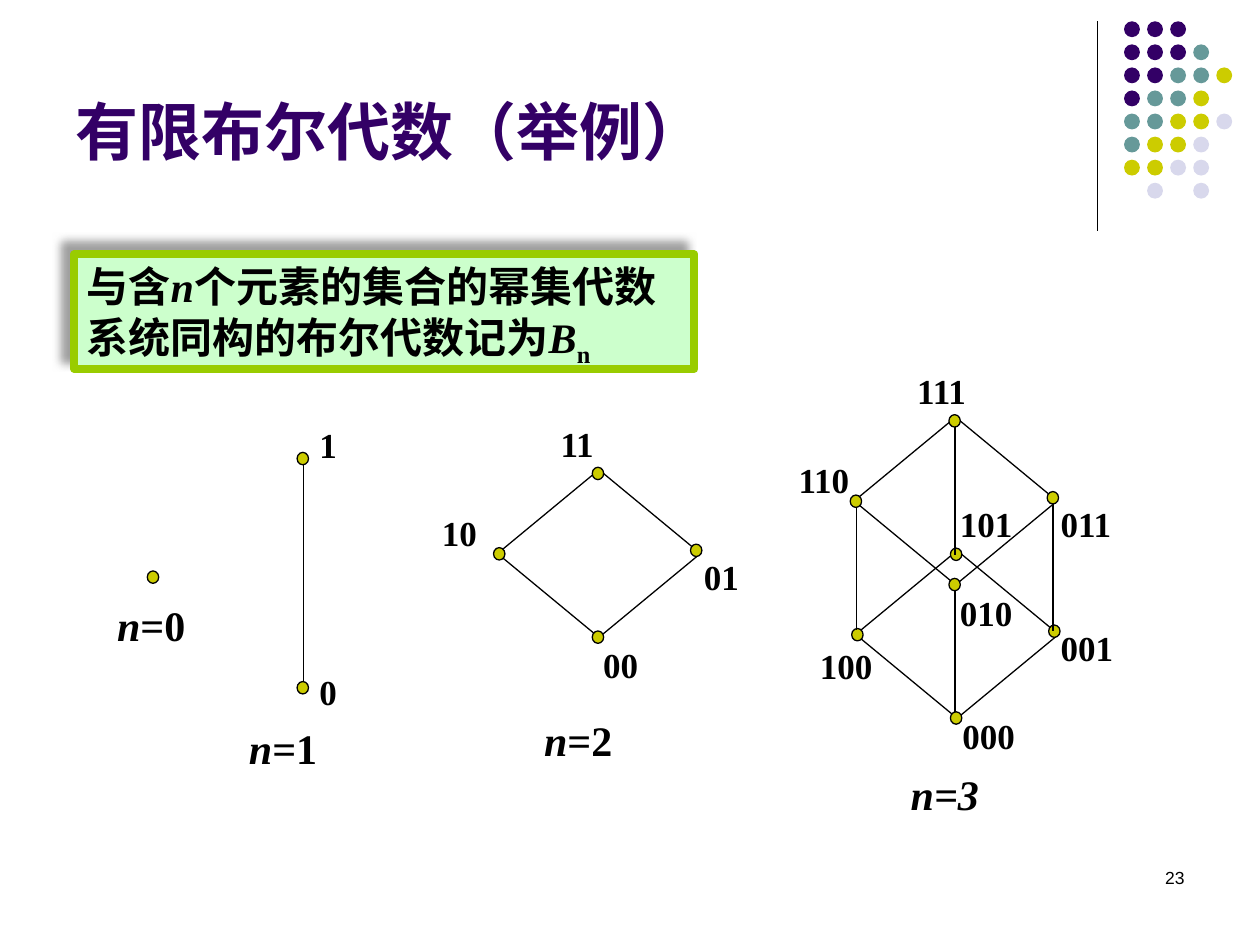
from dataclasses import dataclass

from lxml import etree
from pptx import Presentation
from pptx import util as u
from pptx.dml.color import RGBColor
from pptx.enum import shapes, text
from pptx.oxml import ns


@dataclass(frozen=True)
class Theme:
    """Colours, fonts and type sizes of the slide."""
    ink: str = "000000"
    plum: str = "330066"
    teal: str = "669999"
    gold: str = "CCCC00"
    pale: str = "D8D8EC"
    mint: str = "CCFFCC"
    lime: str = "99CC00"
    shade: str = "808080"
    sans: str = "Arial"
    serif: str = "Times New Roman"
    title: int = 36
    body: int = 24
    label: int = 20
    small: int = 10
    thin: float = 0.75
    thick: float = 4.5


T = Theme()


def paint(shape, fill=None, line=None, width=T.thin):
    """Set the fill and outline of a shape and drop its shadow."""
    shape.shadow.inherit = False
    if fill:
        shape.fill.solid()
        shape.fill.fore_color.rgb = RGBColor.from_string(fill)
    else:
        shape.fill.background()
    if line:
        shape.line.color.rgb = RGBColor.from_string(line)
        shape.line.width = u.Pt(width)
    else:
        shape.line.fill.background()


def put(slide, kind, x, y, w, h, **style):
    """Add a painted preset shape."""
    shape = slide.shapes.add_shape(kind, u.Cm(x), u.Cm(y), u.Cm(w), u.Cm(h))
    paint(shape, **style)
    return shape


def rule(slide, x, top, end):
    """Add a thin upright line."""
    line = slide.shapes.add_connector(
        shapes.MSO_CONNECTOR.STRAIGHT, u.Cm(x), u.Cm(top), u.Cm(x), u.Cm(end))
    line.line.color.rgb = RGBColor.from_string(T.ink)
    line.line.width = u.Pt(T.thin)
    etree.SubElement(line._element.spPr, ns.qn("a:effectLst"))


def write(shape, runs, size, font=T.serif, color=T.ink, bold=True,
          align=text.PP_ALIGN.LEFT, anchor=text.MSO_ANCHOR.TOP):
    """Write (words, italic) runs into a shape and return the runs."""
    frame = shape.text_frame
    frame.word_wrap = True
    frame.vertical_anchor = anchor
    para = frame.paragraphs[0]
    para.alignment = align
    made = []
    for words, slant in runs:
        run = para.add_run()
        run.text = words
        run.font.name = font
        run.font.size = u.Pt(size)
        run.font.bold = bold
        run.font.italic = slant
        run.font.color.rgb = RGBColor.from_string(color)
        made.append(run)
    return made


def note(slide, x, y, w, h, runs, size, **style):
    """Add a text box."""
    box = slide.shapes.add_textbox(u.Cm(x), u.Cm(y), u.Cm(w), u.Cm(h))
    write(box, runs, size, **style)


def tags(slide, x, y, rows):
    """Add node labels given as (words, dx, dy, width)."""
    for words, dx, dy, w in rows:
        note(slide, x + dx, y + dy, w, 1.09, [(words, False)], T.label)


def name(slide, x, y, w, runs):
    """Add the caption of a diagram."""
    note(slide, x, y, w, 1.27, runs, T.body)


def node(slide, x, y):
    """Add one node of a diagram."""
    put(slide, shapes.MSO_SHAPE.OVAL, x, y, 0.23, 0.25, fill=T.gold, line=T.ink)


def kite(slide, x, y):
    """Add a diamond with a node on each corner."""
    put(slide, shapes.MSO_SHAPE.DIAMOND, x, y, 4.09, 3.38, line=T.ink)
    for dx, dy in ((1.91, -0.05), (-0.08, 1.57), (3.89, 1.5), (1.91, 3.25)):
        node(slide, x + dx, y + dy)


def motif(slide, x, y):
    """Draw the corner line and its grid of dots."""
    rule(slide, x, y, y + 4.22)
    hues = {"P": T.plum, "T": T.teal, "Y": T.gold, "L": T.pale}
    rows = ("PPP", "PPPT", "PPTTY", "PTTY", "TTYYL", "TYYL", "YYLL", "-L-L")
    for i, row in enumerate(rows):
        for j, key in enumerate(row):
            if key in hues:
                put(slide, shapes.MSO_SHAPE.OVAL, x + 0.54 + 0.465 * j,
                    y + 0.465 * i, 0.32, 0.32, fill=hues[key])


def rank0(slide, x, y):
    """Draw the algebra with n=0."""
    node(slide, x, y)
    name(slide, x - 0.86, y + 0.46, 2.26, [("n", True), ("=0", False)])


def rank1(slide, x, y):
    """Draw the algebra with n=1."""
    rule(slide, x + 0.13, y + 0.13, y + 4.78)
    for dy in (0, 4.62):
        node(slide, x, y + dy)
    tags(slide, x, y, (("1", 0.2, -0.71, 1.65), ("0", 0.2, 4.27, 1.65)))
    name(slide, x - 1.22, y + 5.33, 4.93, [("n", True), ("=1", False)])


def rank2(slide, x, y):
    """Draw the algebra with n=2."""
    kite(slide, x, y)
    tags(slide, x, y, (
        ("11", 1.02, -1.07, 4.42), ("10", -1.37, 0.71, 4.42),
        ("01", 3.91, 1.6, 1.7), ("00", 1.88, 3.38, 1.7)))
    name(slide, x + 0.69, y + 4.8, 2.87, [("n", True), ("=2", False)])


def rank3(slide, x, y):
    """Draw the algebra with n=3 as two linked diamonds."""
    rule(slide, x + 2.03, y + 3.38, y + 6.12)
    kite(slide, x + 0.03, y + 2.69)
    for dx, top, end in ((4.01, 1.65, 4.32), (0.05, 1.73, 4.29), (2.03, 0.08, 2.77)):
        rule(slide, x + dx, y + top, y + end)
    kite(slide, x, y)
    tags(slide, x, y, (
        ("111", 1.02, -1.09, 4.42), ("110", -1.37, 0.71, 4.42),
        ("011", 3.91, 1.6, 1.7), ("101", 1.88, 1.6, 2.06),
        ("010", 1.88, 3.38, 1.7), ("100", -0.94, 4.45, 1.65),
        ("001", 3.91, 4.09, 1.7), ("000", 1.93, 5.87, 1.85)))
    name(slide, x + 0.89, y + 6.96, 4.11, [("n=3", True)])


def panel(slide, x, y, w, h):
    """Draw the framed definition with its shadow."""
    box = put(slide, shapes.MSO_SHAPE.RECTANGLE, x, y, w, h,
              fill=T.mint, line=T.lime, width=T.thick)
    runs = write(box, [("与含", False), ("n", True),
                       ("个元素的集合的幂集代数系统同构的布尔代数记为", False),
                       ("B", True), ("n", False)], T.body)
    runs[-1].font._element.set("baseline", "-25000")
    glow = etree.SubElement(
        box._element.spPr.find(ns.qn("a:effectLst")), ns.qn("a:outerShdw"),
        blurRad=str(u.Pt(5)), dist=str(u.Pt(8.5)), dir="13500000",
        algn="ctr", rotWithShape="0")
    tint = etree.SubElement(glow, ns.qn("a:srgbClr"), val=T.shade)
    etree.SubElement(tint, ns.qn("a:alpha"), val="75000")


def main():
    """Build the slide and save it."""
    deck = Presentation()
    deck.slide_width, deck.slide_height = u.Cm(25.4), u.Cm(19.05)
    slide = deck.slides.add_slide(deck.slide_layouts[6])
    motif(slide, 22.12, 0.43)
    note(slide, 1.27, 0.33, 20.95, 3.18, [("有限布尔代数（举例）", False)], T.title,
         font=T.sans, color=T.plum, anchor=text.MSO_ANCHOR.BOTTOM)
    rank3(slide, 17.22, 8.41)
    rank2(slide, 10.03, 9.47)
    rank1(slide, 5.99, 9.12)
    rank0(slide, 2.97, 11.51)
    panel(slide, 1.5, 5.13, 12.5, 2.31)
    note(slide, 18.21, 17.35, 5.92, 1.27, [("23", False)], T.small,
         font=T.sans, bold=False, align=text.PP_ALIGN.RIGHT)
    deck.save("out.pptx")


if __name__ == "__main__":
    main()
